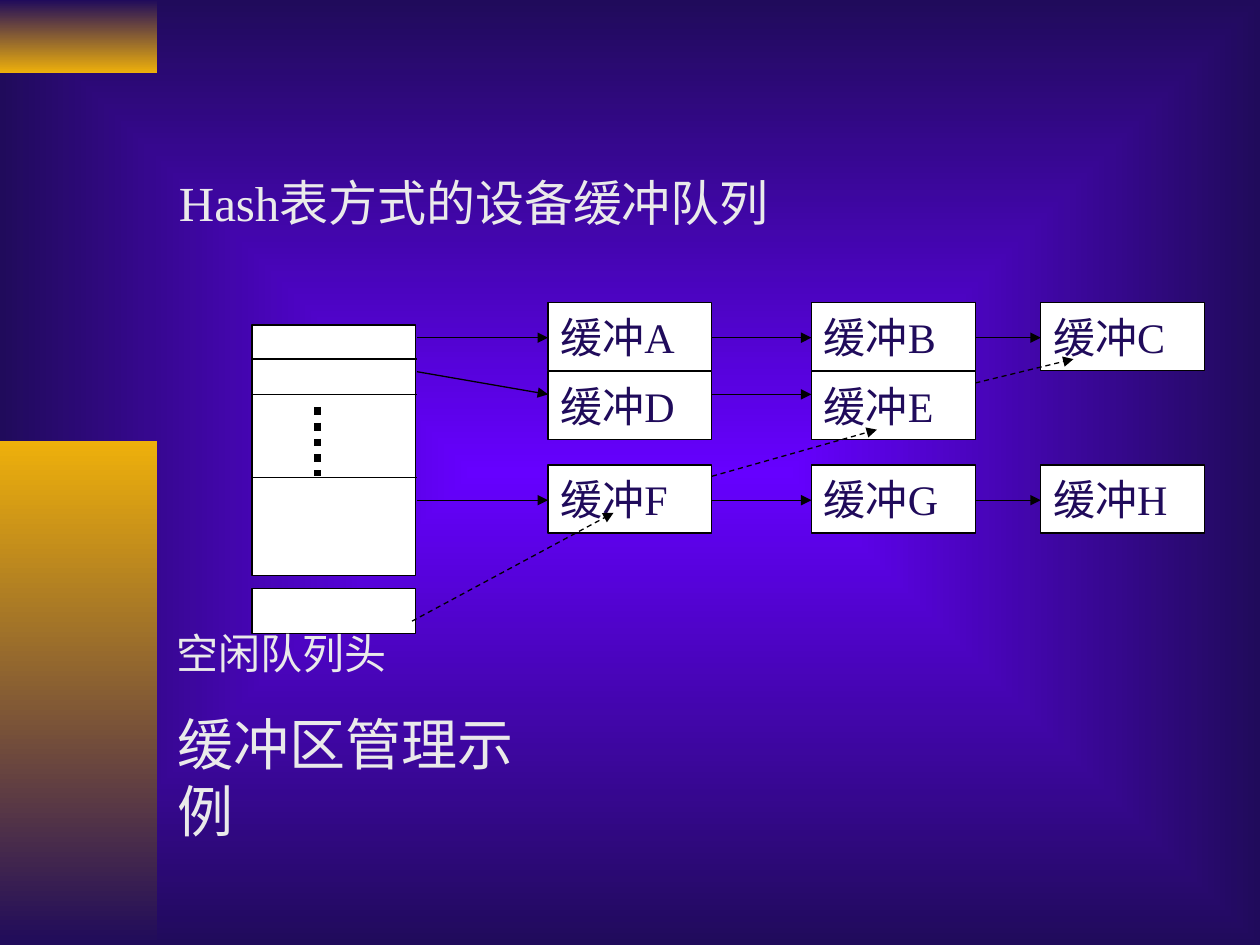
from dataclasses import dataclass

from lxml import etree
from pptx import Presentation
from pptx.dml.color import RGBColor
from pptx.enum.dml import MSO_LINE
from pptx.enum.shapes import MSO_CONNECTOR, MSO_SHAPE
from pptx.enum.text import MSO_ANCHOR, MSO_AUTO_SIZE, PP_ALIGN
from pptx.oxml.ns import qn
from pptx.util import Inches, Pt

RECTANGLE = MSO_SHAPE.RECTANGLE
STRAIGHT = MSO_CONNECTOR.STRAIGHT
DASH, DOTS = MSO_LINE.DASH, MSO_LINE.ROUND_DOT
TOP, MIDDLE = MSO_ANCHOR.TOP, MSO_ANCHOR.MIDDLE
LEFT = PP_ALIGN.LEFT
NO_AUTOFIT = MSO_AUTO_SIZE.NONE

COLORS = {
    "glow": "6600FF",
    "navy": "200B5B",
    "gold": "EEB00B",
    "white": "FFFFFF",
    "black": "000000",
    "pale": "EAEAEA",
}
FONT = "Times New Roman"

BOX_WIDTH, BOX_HEIGHT = 1.3, 0.54
TABLE_LEFT, TABLE_RIGHT = 2, 3.31
COLUMNS = (4.35, 6.44, 8.26)
ROWS = ((2.4, "ABC"), (2.95, "DE"), (3.69, "FGH"))
ARROW_YS = (2.68, 3.13, 3.97)


@dataclass
class Line:
    start: tuple[float, float]
    end: tuple[float, float]
    arrow: bool = True
    dash: MSO_LINE | None = None
    width: float = 0.75


@dataclass
class Label:
    text: str
    left: float
    top: float
    width: float
    height: float
    size: int
    indent: float = 0.1


def color(name: str) -> RGBColor:
    return RGBColor.from_string(COLORS[name])


def fill_gradient(fill, first: str, last: str) -> None:
    fill.gradient()
    for stop, name in zip(fill.gradient_stops, (first, last)):
        stop.color.rgb = color(name)


def paint_background(slide) -> None:
    """Fill the page with a gradient that spreads from its centre."""
    fill_gradient(slide.background.fill, "glow", "navy")
    gradient = slide.element.find(".//" + qn("a:gradFill"))
    gradient.remove(gradient.find(qn("a:lin")))
    path = etree.SubElement(gradient, qn("a:path"), {"path": "rect"})
    sides = dict.fromkeys("ltrb", "50000")
    etree.SubElement(path, qn("a:fillToRect"), sides)


def add_side_bar(slide, top: float, height: float, first: str, last: str) -> None:
    bar = slide.shapes.add_shape(
        RECTANGLE, 0, Inches(top), Inches(1.25), Inches(height))
    bar.shadow.inherit = False
    bar.line.fill.background()
    fill_gradient(bar.fill, first, last)
    bar.fill.gradient_angle = 270


def write_text(shape, text: str, size: int, color_name: str,
               anchor: MSO_ANCHOR, indent: float = 0.1) -> None:
    frame = shape.text_frame
    frame.auto_size = NO_AUTOFIT
    frame.word_wrap = True
    frame.vertical_anchor = anchor
    frame.margin_left = Inches(indent)
    para = frame.paragraphs[0]
    para.text = text
    para.alignment = LEFT
    para.font.name = FONT
    para.font.size = Pt(size)
    para.font.color.rgb = color(color_name)


def add_box(slide, left: float, top: float, height: float, text: str = "") -> None:
    box = slide.shapes.add_shape(
        RECTANGLE, Inches(left), Inches(top), Inches(BOX_WIDTH), Inches(height))
    box.shadow.inherit = False
    box.fill.solid()
    box.fill.fore_color.rgb = color("white")
    box.line.color.rgb = color("black")
    box.line.width = Pt(0.75)
    if text:
        write_text(box, text, 24, "navy", MIDDLE)


def add_line(slide, line: Line) -> None:
    connector = slide.shapes.add_connector(
        STRAIGHT, *(Inches(value) for value in line.start + line.end))
    connector.line.color.rgb = color("black")
    connector.line.width = Pt(line.width)
    if line.dash is not None:
        connector.line.dash_style = line.dash
    properties = connector.element.spPr
    if line.arrow:
        outline = properties.find(qn("a:ln"))
        etree.SubElement(outline, qn("a:tailEnd"), {"type": "triangle"})
    etree.SubElement(properties, qn("a:effectLst"))


def place_label(shape, label: Label) -> None:
    shape.left, shape.top = Inches(label.left), Inches(label.top)
    shape.width, shape.height = Inches(label.width), Inches(label.height)
    write_text(shape, label.text, label.size, "pale", TOP, label.indent)


def add_hash_table(slide) -> None:
    add_box(slide, TABLE_LEFT, 2.58, 1.99)
    for y in (2.85, 3.13, 3.79):
        add_line(slide, Line((TABLE_LEFT, y), (TABLE_RIGHT, y), arrow=False))
    add_line(slide, Line((2.52, 3.23), (2.52, 3.78), False, DOTS, 4.5))


def add_buffers(slide) -> None:
    for top, letters in ROWS:
        for left, letter in zip(COLUMNS, letters):
            add_box(slide, left, top, BOX_HEIGHT, f"缓冲{letter}")


def add_queue_arrows(slide) -> None:
    for y, (_, letters) in zip(ARROW_YS, ROWS):
        first_y = 2.95 if letters == "DE" else y
        add_line(slide, Line((TABLE_RIGHT, first_y), (COLUMNS[0], y)))
        for left, following in zip(COLUMNS, COLUMNS[1:len(letters)]):
            add_line(slide, Line((left + BOX_WIDTH, y), (following, y)))


def add_free_queue(slide) -> None:
    """Draw the free list's head and the dashed path from F to E to C."""
    add_box(slide, TABLE_LEFT, 4.67, 0.36)
    for start, end in (((3.27, 4.93), (4.87, 4.07)),
                       ((5.65, 3.78), (6.96, 3.41)),
                       ((7.74, 3.04), (8.52, 2.85))):
        add_line(slide, Line(start, end, dash=DASH))


def main() -> None:
    deck = Presentation()
    deck.slide_width, deck.slide_height = Inches(10), Inches(7.5)
    slide = deck.slides.add_slide(deck.slide_layouts[5])
    paint_background(slide)
    add_side_bar(slide, 0, 0.58, "navy", "gold")
    add_side_bar(slide, 3.5, 4, "gold", "navy")
    add_hash_table(slide)
    add_buffers(slide)
    add_queue_arrows(slide)
    add_free_queue(slide)
    place_label(slide.shapes.title, Label(
        "Hash表方式的设备缓冲队列", 1.18, 1.32, 5.11, 1.04, 28, 0.24))
    for label in (Label("空闲队列头", 1.3, 4.93, 1.87, 0.9, 24),
                  Label("缓冲区管理示例", 1.22, 5.58, 3.39, 1.17, 32, 0.19)):
        place_label(slide.shapes.add_textbox(0, 0, 0, 0), label)
    deck.save("out.pptx")


if __name__ == "__main__":
    main()
